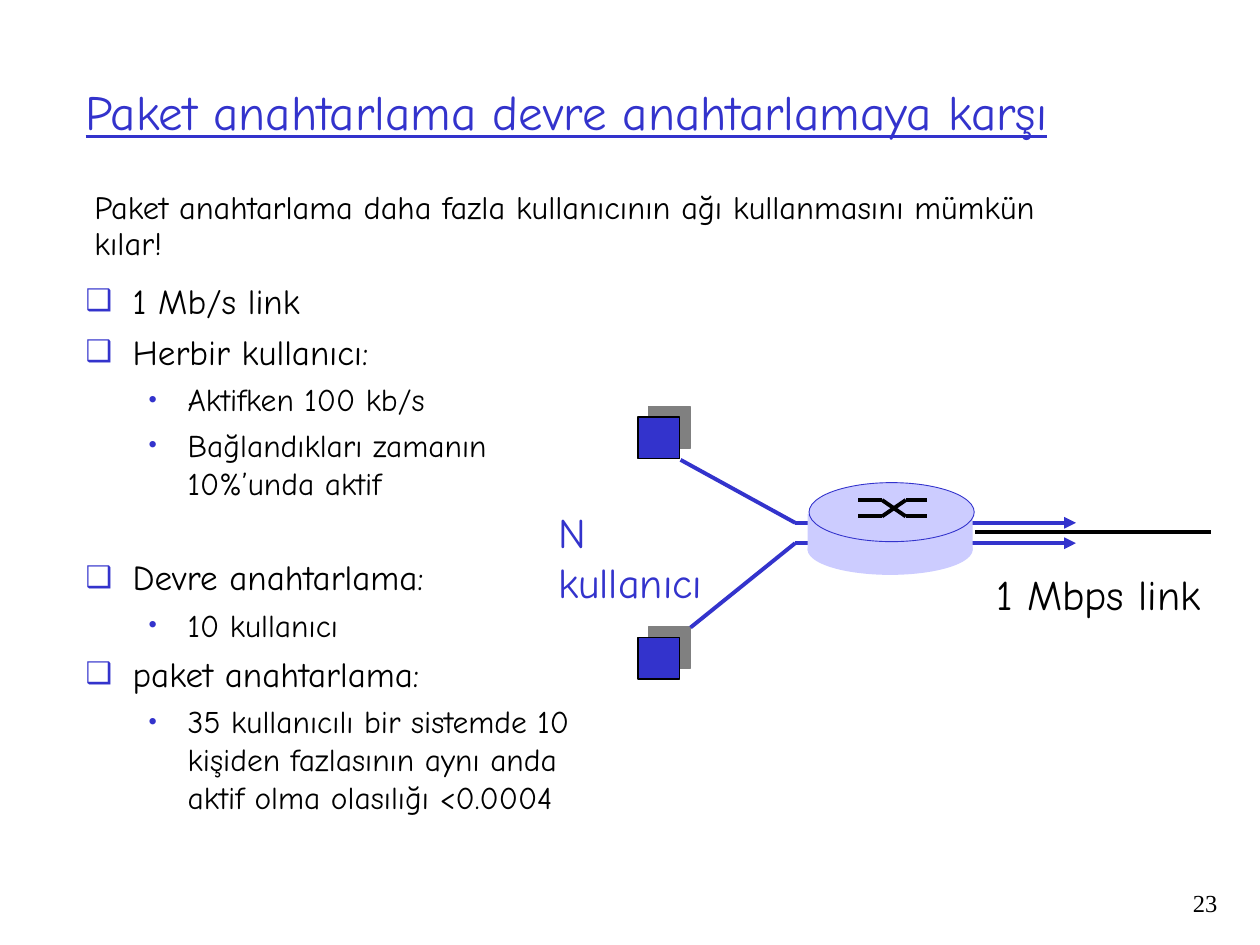
from dataclasses import dataclass

from lxml.etree import SubElement
from pptx import Presentation
from pptx.dml.color import RGBColor as Rgb
from pptx.enum.shapes import MSO_CONNECTOR as Connector, MSO_SHAPE as Shape
from pptx.enum.text import MSO_ANCHOR as Anchor, MSO_AUTO_SIZE as AutoSize, PP_ALIGN as Align
from pptx.oxml.ns import qn
from pptx.util import Cm, Pt


@dataclass(frozen=True)
class Theme:
    font: str = "Comic Neue"
    number_font: str = "Times New Roman"
    blue: str = "3333CC"
    pale: str = "CCCCFF"
    black: str = "000000"
    shade: str = "808080"
    title: float = 28
    label: float = 24
    item: float = 20
    intro: float = 18.5
    subitem: float = 18
    number: float = 14


THEME = Theme()
# Per level: bullet, bullet size %, left margin, hanging indent, text size, space before
LEVELS = (
    ("❑", 85, 0.95, 0.95, THEME.item, 5),
    ("•", 75, 2.06, 0.79, THEME.subitem, 4.5),
)
SECTION_GAP = 31
# Level, text, whether a new section begins
ITEMS = (
    (0, "1 Mb/s link", False),
    (0, "Herbir kullanıcı:", False),
    (1, "Aktifken 100 kb/s", False),
    (1, "Bağlandıkları zamanın 10%’unda aktif", False),
    (0, "Devre anahtarlama:", True),
    (1, "10 kullanıcı", False),
    (0, "paket anahtarlama:", False),
    (1, "35 kullanıcılı bir sistemde 10 kişiden fazlasının aynı anda "
        "aktif olma olasılığı <0.0004", False),
)
INTRO = ("Paket anahtarlama daha fazla kullanıcının ağı kullanmasını mümkün", "kılar!")


def apply(target, **values):
    for name, value in values.items():
        setattr(target, name, value)


def place(box, left, top, width, height):
    apply(box, left=Cm(left), top=Cm(top), width=Cm(width), height=Cm(height))


def write(para, text, size, color=THEME.black, font=THEME.font, **extra):
    span = para.add_run()
    span.text = text
    apply(span.font, name=font, size=Pt(size), **extra)
    span.font.color.rgb = Rgb.from_string(color)


def set_bullet(para, char, percent, margin, hanging):
    props = para._p.get_or_add_pPr()
    props.set("marL", str(Cm(margin)))
    props.set("indent", str(-Cm(hanging)))
    if not char:
        SubElement(props, qn("a:buNone"))
        return
    color = SubElement(props, qn("a:buClr"))
    SubElement(color, qn("a:srgbClr"), val=THEME.blue)
    SubElement(props, qn("a:buSzPct"), val=str(percent * 1000))
    SubElement(props, qn("a:buChar"), char=char)


def paragraphs(frame, items):
    """Yield one paragraph per item, reusing the frame's first one."""
    for index, item in enumerate(items):
        yield index, frame.paragraphs[0] if index == 0 else frame.add_paragraph(), item


def fill_title(title):
    place(title, 1.47, 0.64, 22.23, 3.18)
    frame = title.text_frame
    apply(frame, vertical_anchor=Anchor.MIDDLE, auto_size=AutoSize.NONE)
    para = frame.paragraphs[0]
    para.alignment = Align.LEFT
    write(para, "Paket anahtarlama devre anahtarlamaya karşı", THEME.title, THEME.blue,
          underline=True)


def fill_list(body):
    place(body, 1.47, 5.51, 10.59, 12.9)
    body.text_frame.auto_size = AutoSize.NONE
    for index, para, (level, text, new_section) in paragraphs(body.text_frame, ITEMS):
        char, percent, margin, hanging, size, space = LEVELS[level]
        set_bullet(para, char, percent, margin, hanging)
        before = SECTION_GAP if new_section else space
        apply(para, level=level, space_before=Pt(before if index else 0))
        write(para, text, size)


def fill_intro(body):
    place(body, 1.65, 3.86, 22.78, 1.7)
    body.text_frame.auto_size = AutoSize.NONE
    for index, para, text in paragraphs(body.text_frame, INTRO):
        set_bullet(para, None, 0, 0, 0)
        apply(para, line_spacing=0.7, space_before=Pt(5 if index else 0))
        write(para, text, THEME.intro)


def add_label(slide, area, text, size, wrap=False, align=Align.LEFT, **style):
    box = slide.shapes.add_textbox(*map(Cm, area))
    box.text_frame.word_wrap = wrap
    para = box.text_frame.paragraphs[0]
    para.alignment = align
    write(para, text, size, **style)


def add_solid(shapes, kind, area, fill, outline=None, weight=0.75):
    shape = shapes.add_shape(kind, *map(Cm, area))
    shape.shadow.inherit = False
    shape.fill.solid()
    shape.fill.fore_color.rgb = Rgb.from_string(fill)
    if outline:
        shape.line.color.rgb = Rgb.from_string(outline)
        shape.line.width = Pt(weight)
    else:
        shape.line.fill.background()
    return shape


def add_host(slide, left, top, side=0.84):
    host = add_solid(slide.shapes, Shape.RECTANGLE, (left, top, side, side),
                     THEME.blue, THEME.black)
    effects = host._element.spPr.find(qn("a:effectLst"))
    shadow = SubElement(effects, qn("a:outerShdw"), dist=str(Pt(8.5)),
                        dir=str(315 * 60000), algn="ctr", rotWithShape="0")
    SubElement(shadow, qn("a:srgbClr"), val=THEME.shade)


def add_line(shapes, start, end, color=THEME.black, arrow=False):
    line = shapes.add_connector(Connector.STRAIGHT, *map(Cm, (*start, *end)))
    line.line.color.rgb = Rgb.from_string(color)
    line.line.width = Pt(2.25)
    if arrow:
        SubElement(line.line._ln, qn("a:tailEnd"), type="triangle")
    SubElement(line._element.spPr, qn("a:effectLst"))


def add_router(slide):
    parts = slide.shapes.add_group_shape().shapes
    add_solid(parts, Shape.OVAL, (16.28, 10.57, 3.33, 1.02), THEME.pale)
    add_solid(parts, Shape.RECTANGLE, (16.28, 10.36, 3.33, 0.74), THEME.pale)
    add_solid(parts, Shape.OVAL, (16.31, 9.73, 3.33, 1.19), THEME.pale, THEME.blue, 0.5)
    left, inner_left, inner_right, right = 17.3, 17.78, 18.26, 18.69
    upper, lower = 10.08, 10.41
    for near, far in ((upper, lower), (lower, upper)):
        add_line(parts, (left, near), (inner_left, near))
        add_line(parts, (inner_left, near), (inner_right, far))
        add_line(parts, (inner_right, far), (right, far))


def add_network(slide):
    for top in (8.41, 12.85):
        add_host(slide, 12.86, top)
    bend, tip = 16.03, 21.69
    for source, level in (((13.72, 9.27), 10.54), ((13.92, 12.65), 10.95)):
        add_line(slide.shapes, source, (bend, level), THEME.blue)
        add_line(slide.shapes, (bend, level), (tip, level), THEME.blue, arrow=True)
    add_label(slide, (11, 10.08, 4.24, 1.27), "N kullanıcı", THEME.label, color=THEME.blue)
    add_label(slide, (19.84, 11.33, 4.62, 1.27), "1 Mbps link", THEME.label)
    add_router(slide)
    add_line(slide.shapes, (19.66, 10.72), (24.41, 10.72))


def main():
    deck = Presentation()
    apply(deck, slide_width=Cm(25.4), slide_height=Cm(19.05))
    slide = deck.slides.add_slide(deck.slide_layouts.get_by_name("Two Content"))
    title, items, intro = slide.placeholders
    fill_title(title)
    fill_list(items)
    fill_intro(intro)
    add_network(slide)
    add_label(slide, (23.06, 17.78, 1.73, 1.27), "23", THEME.number, wrap=True,
              align=Align.RIGHT, font=THEME.number_font)
    deck.save("out.pptx")


if __name__ == "__main__":
    main()
